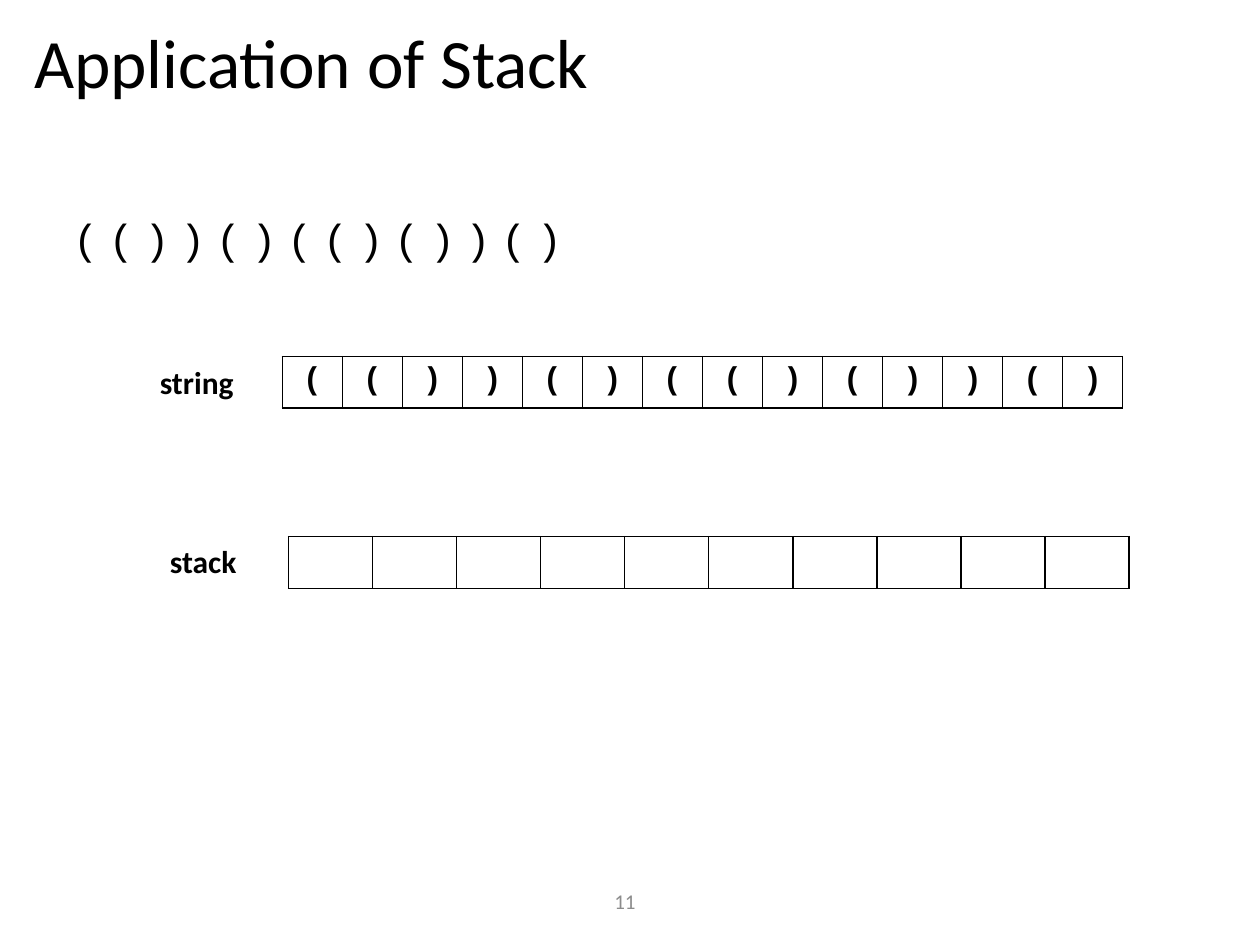
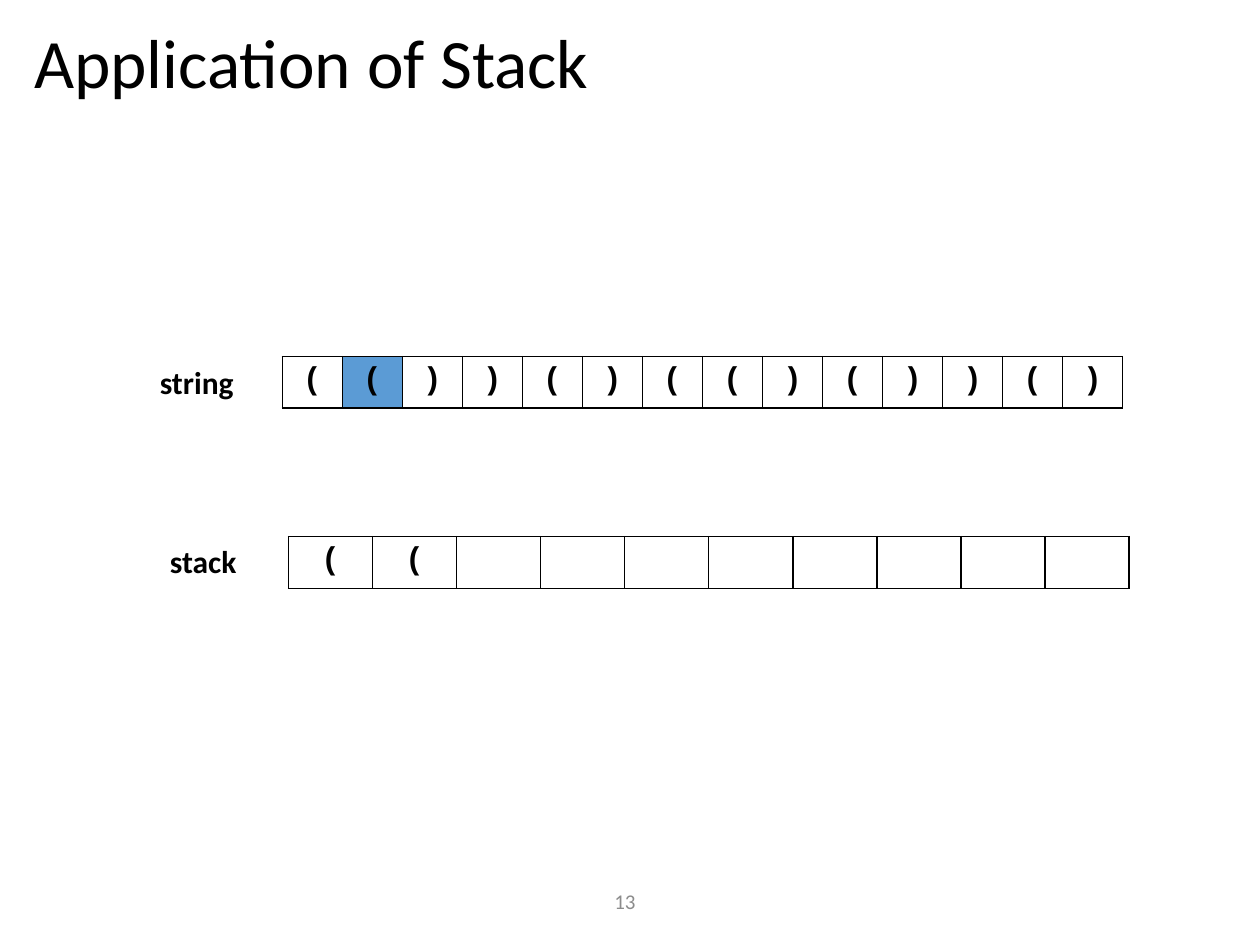
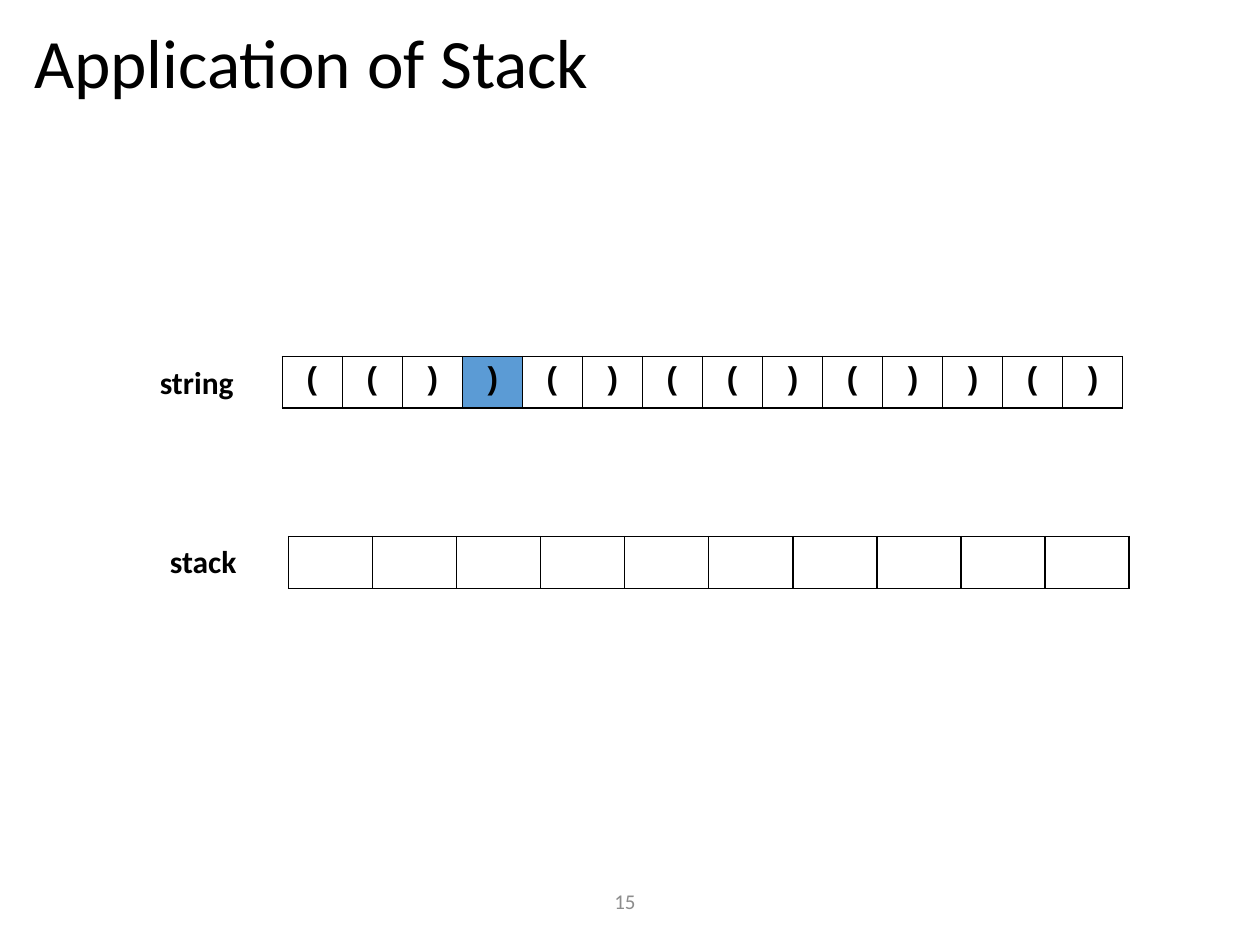
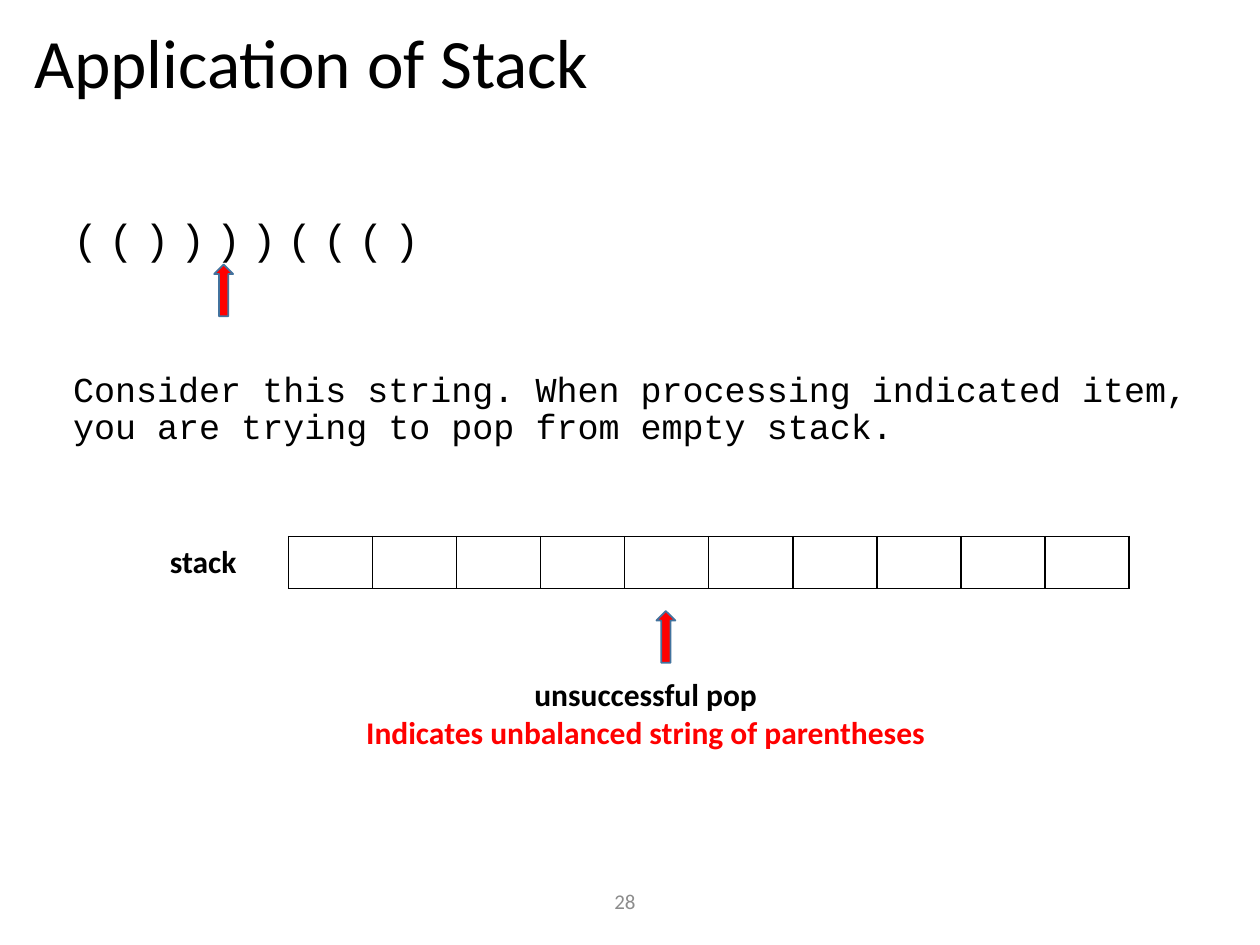
from lxml.etree import SubElement
from pptx import Presentation
from pptx.dml.color import RGBColor
from pptx.enum.shapes import MSO_SHAPE as Shape
from pptx.enum.text import MSO_ANCHOR as Anchor, MSO_AUTO_SIZE as AutoSize, PP_ALIGN as Align
from pptx.oxml.ns import qn
from pptx.util import Inches, Pt

COLORS = {
    "text": "000000",
    "page_number": "8C8C8C",
    "current": "5B9BD5",
    "alert": "FF0000",
    "arrow_line": "43739E",
}
TITLE_FONT = {"name": "Calibri", "size": Pt(39.6), "bold": False}
LABEL_FONT = {"name": "Calibri", "size": Pt(18), "bold": True}
NUMBER_FONT = {"name": "Calibri", "size": Pt(12)}
CELL_FONT = {"name": "Courier New", "size": Pt(18), "bold": True}
STRING_FONT = {"name": "Courier New", "size": Pt(24)}
REMARK_FONT = {"name": "Courier New", "size": Pt(20)}

TITLE_AND_BODY, TITLE_ONLY = 1, 5
BALANCED = "(())()(()())()"
UNBALANCED = "(())))((()"
STACK_SIZE = 10
ROW_WIDTH, ROW_HEIGHT = 6.67, 0.41


def rgb(color):
    return RGBColor.from_string(COLORS[color])


def write(paragraph, text, font, color="text", **layout):
    """Put one run in the paragraph, then apply its layout and font values."""
    run = paragraph.add_run()
    run.text = text
    for name, value in layout.items():
        setattr(paragraph, name, value)
    for name, value in font.items():
        setattr(run.font, name, value)
    run.font.color.rgb = rgb(color)
    return run


def place(shape, left, top, width, height):
    for name, value in zip(("left", "top", "width", "height"), (left, top, width, height)):
        setattr(shape, name, Inches(value))


def add_text_box(slide, box, lines, font, align=Align.LEFT, anchor=Anchor.TOP):
    """Add a wrapped box; lines holds (text, color) pairs."""
    frame = slide.shapes.add_textbox(*map(Inches, box)).text_frame
    frame.word_wrap = True
    frame.vertical_anchor = anchor
    for index, (text, color) in enumerate(lines):
        paragraph = frame.add_paragraph() if index else frame.paragraphs[0]
        write(paragraph, text, font, color, alignment=align)
    return frame


def add_page(presentation, layout, number):
    slide = presentation.slides.add_slide(presentation.slide_layouts[layout])
    title = slide.shapes.title
    place(title, 0.17, 0.18, 9.62, 0.74)
    title.text_frame.auto_size = AutoSize.NONE
    title.text_frame.vertical_anchor = Anchor.TOP
    write(title.text_frame.paragraphs[0], "Application of Stack", TITLE_FONT,
          alignment=Align.LEFT, line_spacing=0.9)
    add_text_box(slide, (2.62, 6.95, 4.68, 0.4), [(str(number), "page_number")],
                 NUMBER_FONT, Align.CENTER, Anchor.MIDDLE)
    return slide


def remove_bullet(paragraph):
    properties = paragraph._p.get_or_add_pPr()
    properties.set("marL", "0")
    properties.set("indent", "0")
    SubElement(properties, qn("a:buNone"))


def fill_body(slide, string, remark=None):
    """Show the spaced-out string and, below it, an optional remark."""
    body = slide.placeholders[1]
    place(body, 0.48, 1.68, 9.1, 4.93)
    frame = body.text_frame
    frame.auto_size = AutoSize.NONE
    paragraph = frame.paragraphs[0]
    remove_bullet(paragraph)
    run = write(paragraph, string, STRING_FONT, line_spacing=0.9, space_before=Pt(0))
    run._r.get_or_add_rPr().set("spc", "600")
    if remark:
        paragraph = frame.add_paragraph()
        remove_bullet(paragraph)
        write(paragraph, remark, REMARK_FONT, line_spacing=0.9, space_before=Pt(62))


def set_borders(cell):
    properties = cell._tc.get_or_add_tcPr()
    for index, side in enumerate(("a:lnL", "a:lnR", "a:lnT", "a:lnB")):
        line = properties.makeelement(qn(side), {"w": str(Pt(1))})
        color = SubElement(SubElement(line, qn("a:solidFill")), qn("a:srgbClr"))
        color.set("val", COLORS["text"])
        properties.insert(index, line)


def add_cell_row(slide, left, top, symbols, current=None):
    """Add a one-row table with a symbol per cell, the current one filled."""
    count = len(symbols)
    box = map(Inches, (left, top, ROW_WIDTH, ROW_HEIGHT))
    table = slide.shapes.add_table(1, count, *box).table
    table.first_row = table.horz_banding = False
    for index, symbol in enumerate(symbols):
        table.columns[index].width = Inches(ROW_WIDTH / count)
        cell = table.cell(0, index)
        if index == current:
            cell.fill.solid()
            cell.fill.fore_color.rgb = rgb("current")
        else:
            cell.fill.background()
        set_borders(cell)
        if symbol:
            write(cell.text_frame.paragraphs[0], symbol, CELL_FONT, alignment=Align.CENTER)


def add_label(slide, box, *lines, align=Align.LEFT):
    add_text_box(slide, box, lines, LABEL_FONT, align).auto_size = AutoSize.SHAPE_TO_FIT_TEXT


def stack_after(string, current):
    """Return the open parentheses left after processing the current item."""
    stack = []
    if current is not None:
        for symbol in string[:current + 1]:
            if symbol == "(":
                stack.append(symbol)
            else:
                stack.pop()
    return stack


def add_stack(slide, content=()):
    add_cell_row(slide, 2.29, 4.26, [*content, *[""] * (STACK_SIZE - len(content))])
    add_label(slide, (1.25, 4.25, 0.89, 0.4), ("stack", "text"))


def add_string(slide, string, current):
    add_cell_row(slide, 2.24, 2.83, string, current)
    add_label(slide, (1.17, 2.83, 0.93, 0.4), ("string", "text"))


def add_up_arrow(slide, left, top):
    arrow = slide.shapes.add_shape(Shape.UP_ARROW, *map(Inches, (left, top, 0.15, 0.41)))
    arrow.shadow.inherit = False
    arrow.fill.solid()
    arrow.fill.fore_color.rgb = rgb("alert")
    arrow.line.color.rgb = rgb("arrow_line")
    arrow.line.width = Pt(1)


def add_step(presentation, number, current=None):
    """Add a page with the balanced string and the stack at the current item."""
    layout = TITLE_AND_BODY if current is None else TITLE_ONLY
    slide = add_page(presentation, layout, number)
    if current is None:
        fill_body(slide, BALANCED)
    add_stack(slide, stack_after(BALANCED, current))
    add_string(slide, BALANCED, current)


def add_failed_pop(presentation, number):
    slide = add_page(presentation, TITLE_AND_BODY, number)
    fill_body(slide, UNBALANCED, "Consider this string. When processing indicated item, "
                                 "you are trying to pop from empty stack.")
    add_stack(slide)
    add_label(slide, (2.37, 5.31, 5.51, 0.71), ("unsuccessful pop", "text"),
              ("Indicates unbalanced string of parentheses", "alert"), align=Align.CENTER)
    add_up_arrow(slide, 5.21, 4.85)
    add_up_arrow(slide, 1.7, 2.1)


def main():
    presentation = Presentation()
    presentation.slide_width = Inches(10)
    presentation.slide_height = Inches(7.5)
    add_step(presentation, 11)
    add_step(presentation, 13, current=1)
    add_step(presentation, 15, current=3)
    add_failed_pop(presentation, 28)
    presentation.save("out.pptx")


if __name__ == "__main__":
    main()
